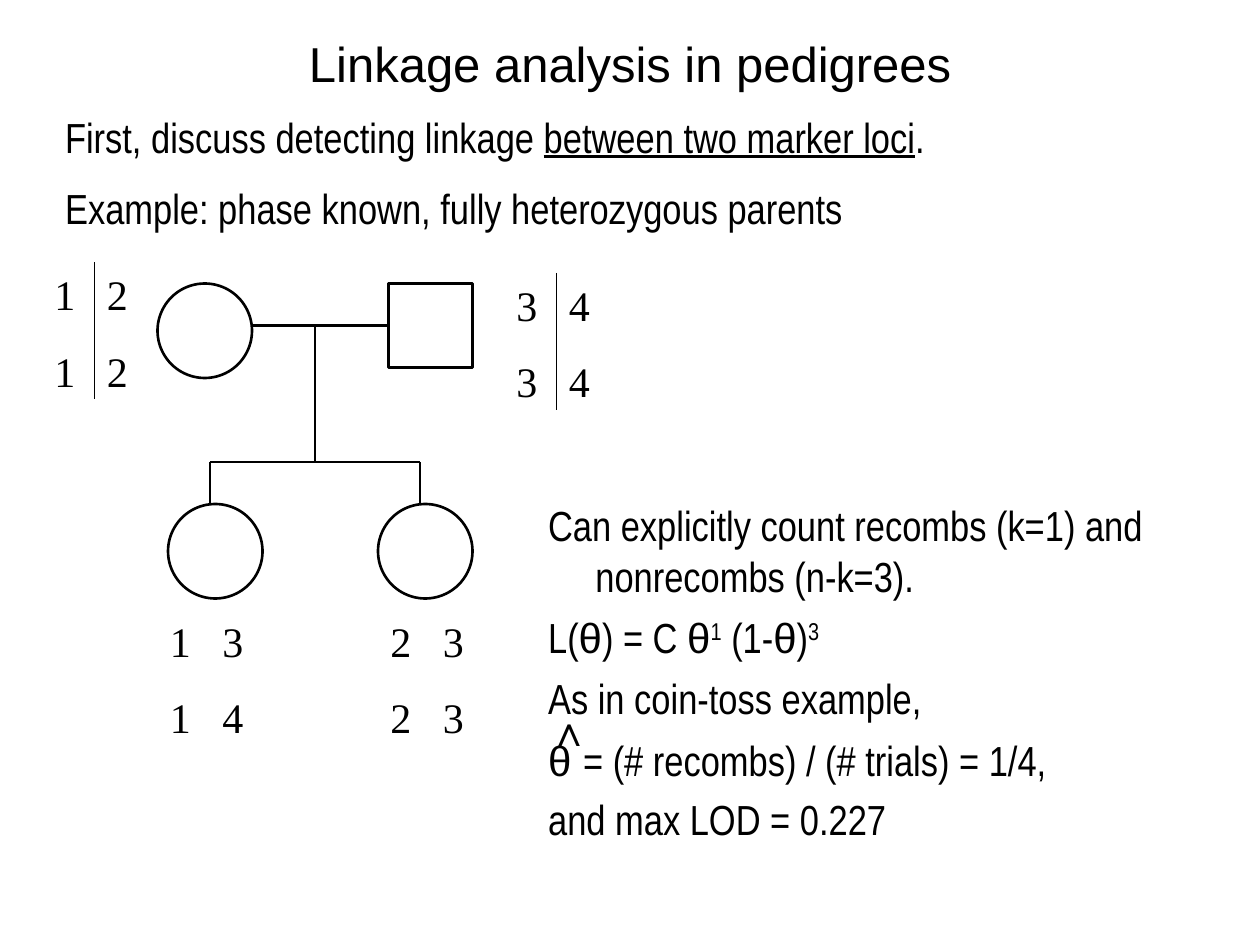
from lxml import etree
from pptx import Presentation
from pptx.dml.color import RGBColor
from pptx.enum.shapes import MSO_CONNECTOR, MSO_SHAPE
from pptx.enum.text import MSO_ANCHOR, MSO_AUTO_SIZE, PP_ALIGN
from pptx.oxml.ns import qn
from pptx.util import Pt

LINE = MSO_CONNECTOR.STRAIGHT
OVAL, RECT = MSO_SHAPE.OVAL, MSO_SHAPE.RECTANGLE
MIDDLE, CENTER = MSO_ANCHOR.MIDDLE, PP_ALIGN.CENTER
FIXED = MSO_AUTO_SIZE.NONE

COLORS = {"ink": "000000"}
SANS, THIN, SERIF = "Arial", "Arial Narrow", "Times New Roman"

TITLE = "Linkage analysis in pedigrees"
INTRO = [
    [("First, discuss detecting linkage ", THIN, ""),
     ("between two marker loci", THIN, "under"), (".", THIN, "")],
    [("Example: phase known, fully heterozygous parents", THIN, "")],
]
RESULT = [
    [("Can explicitly count recombs (k=1) and nonrecombs (n-k=3).", THIN, "")],
    [("L(", THIN, ""), ("θ", SANS, ""), (") = C ", THIN, ""), ("θ", SANS, ""),
     ("1", THIN, "super"), (" (1-", THIN, ""), ("θ", SANS, ""),
     (")", THIN, ""), ("3", THIN, "super")],
    [("As in coin-toss example,", THIN, "")],
    [("∧", SANS, "")],
    [("θ ", SANS, ""), ("= (# recombs) / (# trials) = 1/4,", THIN, "")],
    [("and max LOD = 0.227", THIN, "")],
]
TIGHT = (3, 4)

PARENTS = [
    (24, 150, [("1", "2"), ("1", "2")]),
    (288, 156, [("3", "4"), ("3", "4")]),
]
KIDS = [
    (90, 348, [("1", "3"), ("1", "4")]),
    (216, 348, [("2", "3"), ("2", "3")]),
]
DROPS = (120, 240)
MATE, BAR, BIRTH = 186, 264, 288
SIZE = 54


def place(shape, x, y, w, h):
    shape.left, shape.top, shape.width, shape.height = map(Pt, (x, y, w, h))


def ink():
    return RGBColor.from_string(COLORS["ink"])


def write(para, text, face, size=24, mark=""):
    run = para.add_run()
    run.text = text
    font = run.font
    font.name, font.size = face, Pt(size)
    font.color.rgb = ink()
    if mark == "under":
        font.underline = True
    if mark == "super":
        run._r.get_or_add_rPr().set("baseline", "30000")


def add_para(frame, index):
    return frame.paragraphs[0] if index == 0 else frame.add_paragraph()


def fill_body(body, box, rows, after=0, tight=()):
    place(body, *box)
    frame = body.text_frame
    frame.auto_size = FIXED
    for i, row in enumerate(rows):
        para = add_para(frame, i)
        para.line_spacing = 0.6 if i in tight else 1.0
        para.space_before = Pt(0 if i in tight else 6)
        para.space_after = Pt(after)
        props = para._p.get_or_add_pPr()
        props.set("marL", str(Pt(27)))
        props.set("indent", str(Pt(-27)))
        etree.SubElement(props, qn("a:buNone"))
        for text, face, mark in row:
            write(para, text, face, mark=mark)


def add_line(slide, x1, y1, x2, y2, width=1.5):
    line = slide.shapes.add_connector(LINE, Pt(x1), Pt(y1), Pt(x2), Pt(y2))
    line.line.color.rgb = ink()
    line.line.width = Pt(width)
    etree.SubElement(line._element.spPr, qn("a:effectLst"))


def add_person(slide, kind, x, y, size):
    shape = slide.shapes.add_shape(kind, Pt(x), Pt(y), Pt(size), Pt(size))
    shape.shadow.inherit = False
    shape.fill.background()
    shape.line.color.rgb = ink()
    shape.line.width = Pt(1.5)


def add_genes(slide, x, y, rows):
    box = slide.shapes.add_textbox(Pt(x), Pt(y), Pt(60), Pt(80))
    frame = box.text_frame
    frame.word_wrap = True
    for i, pair in enumerate(rows):
        para = add_para(frame, i)
        para.space_before = Pt(15)
        tabs = etree.SubElement(para._p.get_or_add_pPr(), qn("a:tabLst"))
        etree.SubElement(tabs, qn("a:tab"), pos=str(Pt(30)), algn="l")
        write(para, "\t".join(pair), SERIF)


def main():
    deck = Presentation()
    deck.slide_width, deck.slide_height = Pt(720), Pt(540)
    slide = deck.slides.add_slide(deck.slide_layouts[3])
    title, intro, result = slide.placeholders

    place(title, 30, 18, 660, 36)
    frame = title.text_frame
    frame.auto_size = FIXED
    frame.vertical_anchor = MIDDLE
    para = frame.paragraphs[0]
    para.alignment = CENTER
    write(para, TITLE, SANS, 28)

    fill_body(intro, (30, 60, 648, 108), INTRO, after=6)
    fill_body(result, (306, 282, 396, 216), RESULT, tight=TIGHT)

    add_person(slide, OVAL, 90, 162, SIZE)
    add_person(slide, RECT, 222, 162, 48)
    add_line(slide, 144, MATE, 222, MATE)
    mid = sum(DROPS) / 2
    add_line(slide, mid, MATE, mid, BAR)
    add_line(slide, DROPS[0], BAR, DROPS[1], BAR)
    for x in DROPS:
        add_person(slide, OVAL, x - 24, BIRTH, SIZE)
        add_line(slide, x, BAR, x, BIRTH)

    for x, y, rows in PARENTS + KIDS:
        add_genes(slide, x, y, rows)
    for x, y, rows in PARENTS:
        add_line(slide, x + 30, y, x + 30, y + 78, 0.75)

    deck.save("out.pptx")


if __name__ == "__main__":
    main()
